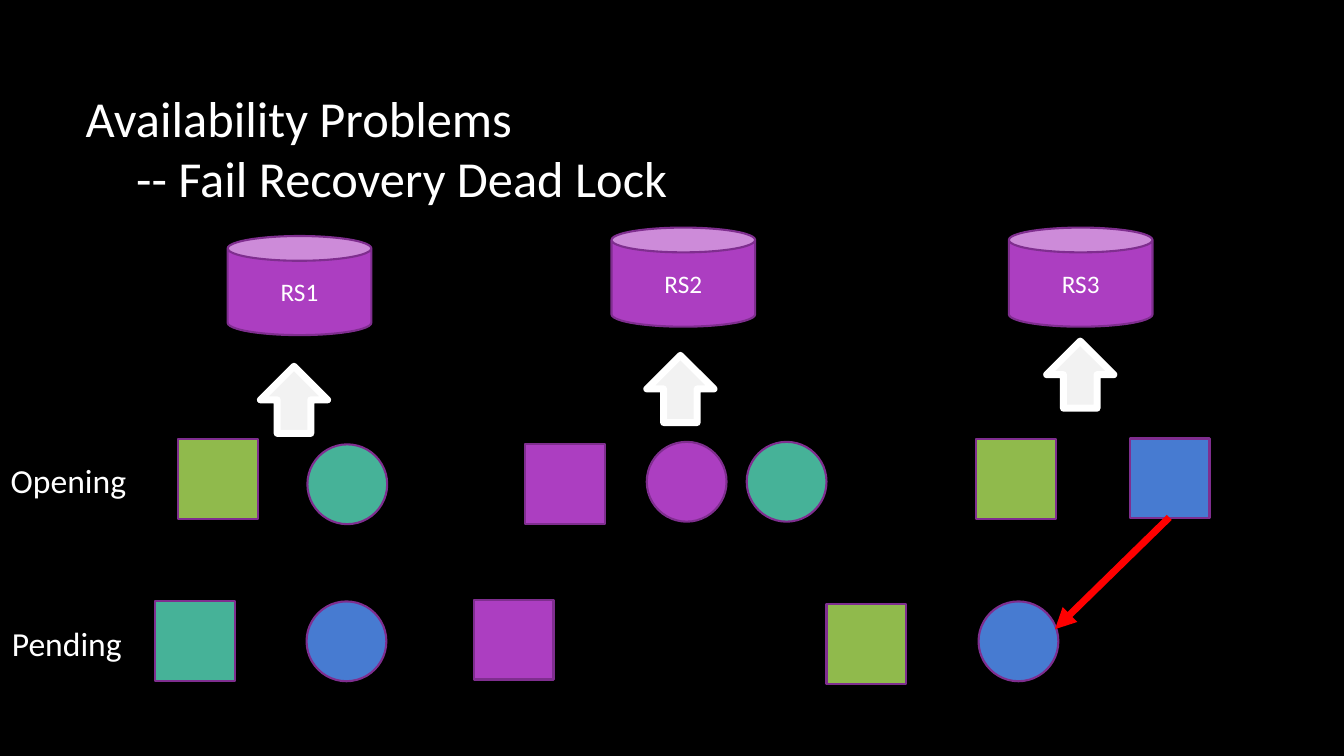
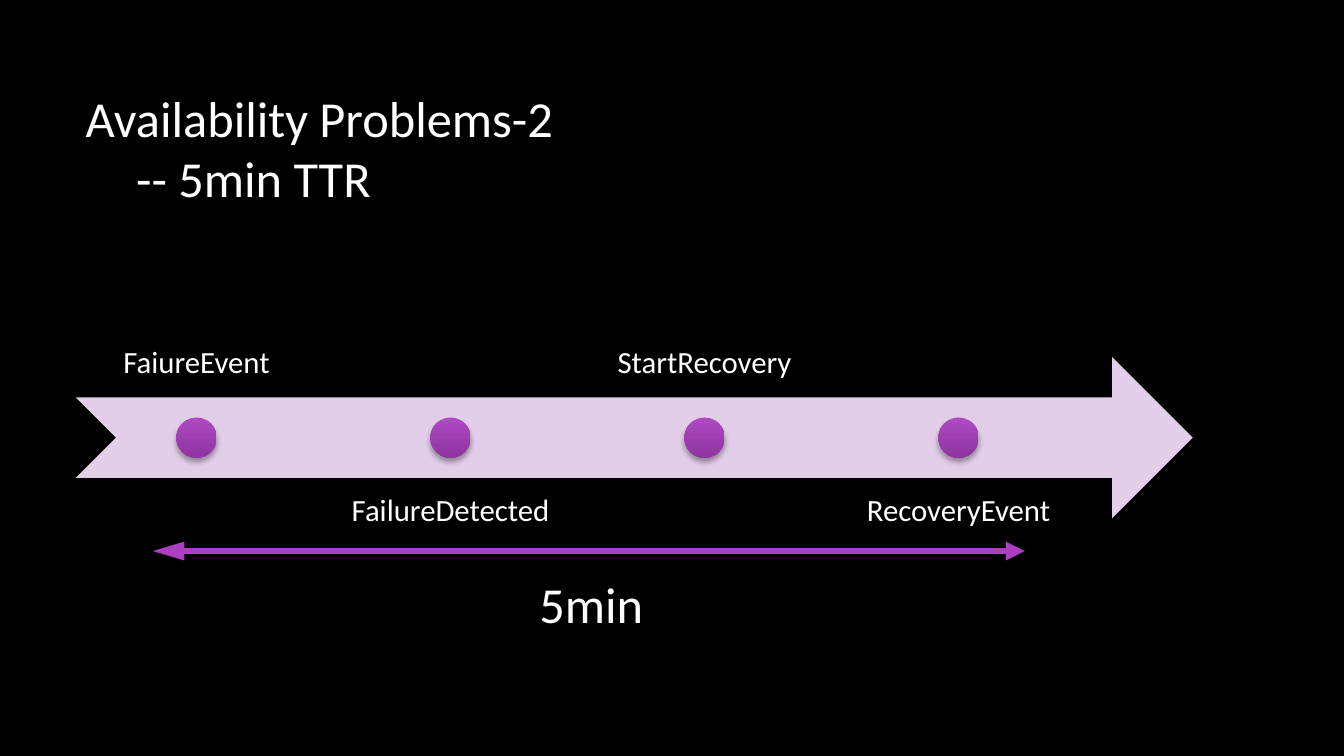
import dataclasses

import lxml.etree
import pptx
import pptx.dml.color
import pptx.enum.shapes
import pptx.enum.text
import pptx.oxml.ns
import pptx.util

SHAPE = pptx.enum.shapes.MSO_SHAPE
ALIGN = pptx.enum.text.PP_ALIGN
ANCHOR = pptx.enum.text.MSO_ANCHOR
AUTO_SIZE = pptx.enum.text.MSO_AUTO_SIZE
COLUMNS, ROWS = 160, 90


@dataclasses.dataclass(frozen=True)
class Theme:
    """Colours, type sizes and line widths shared by the slides."""

    font: str = "Calibri"
    background: str = "000000"
    text: str = "FFFFFF"
    purple: str = "AC3EC1"
    teal: str = "46B298"
    blue: str = "477BD1"
    green: str = "90BA4C"
    outline: str = "7F2E8F"
    arrow: str = "F2F2F2"
    alert: str = "FF0000"
    band: str = "E3CEE9"
    dot: tuple = ("AE4AC2", "8F34A1")
    title_size: int = 36
    label_size: int = 24
    event_size: int = 22
    node_size: int = 18
    thin: float = 1.5
    medium: float = 4.5
    thick: float = 5


THEME = Theme()


def rgb(value):
    """Return a colour object for a hexadecimal value."""
    return pptx.dml.color.RGBColor.from_string(value)


def add_xml(parent, tag, **attributes):
    """Append a DrawingML element and return it."""
    return lxml.etree.SubElement(parent, pptx.oxml.ns.qn(f"a:{tag}"), attributes)


def write_text(frame, text, size, align=ALIGN.CENTER, anchor=ANCHOR.TOP,
               inset=None, spacing=None, auto_size=AUTO_SIZE.NONE, indent=0):
    """Fill a text frame, one paragraph a line, indenting those after the first."""
    frame.text = text
    frame.word_wrap = True
    frame.auto_size = auto_size
    frame.vertical_anchor = anchor
    if inset is not None:
        frame.margin_left = frame.margin_right = pptx.util.Inches(inset)
        frame.margin_top = frame.margin_bottom = pptx.util.Inches(inset)
    for index, paragraph in enumerate(frame.paragraphs):
        paragraph.alignment = align
        paragraph.line_spacing = spacing
        paragraph.font.size = pptx.util.Pt(size)
        paragraph.font.name = THEME.font
        paragraph.font.color.rgb = rgb(THEME.text)
        if index and indent:
            properties = paragraph._p.get_or_add_pPr()
            properties.set("marL", str(pptx.util.Inches(indent)))


class Deck:
    """A presentation with its style and the slide being drawn."""

    def __init__(self):
        """Set the slide size and the shared background."""
        self.presentation = pptx.Presentation()
        self.presentation.slide_width = pptx.util.Inches(13.33)
        self.presentation.slide_height = pptx.util.Inches(7.5)
        fill = self.presentation.slide_master.background.fill
        fill.solid()
        fill.fore_color.rgb = rgb(THEME.background)
        self.slide = None

    def place(self, *lengths):
        """Turn alternating columns and rows into slide lengths."""
        units = (self.presentation.slide_width / COLUMNS,
                 self.presentation.slide_height / ROWS)
        return [round(length * units[index % 2]) for index, length in enumerate(lengths)]

    def add_slide(self, title):
        """Start a slide and format its title."""
        self.slide = self.presentation.slides.add_slide(self.presentation.slide_layouts[5])
        shape = self.slide.shapes.title
        shape.left, shape.top, shape.width, shape.height = self.place(9, 8, 133, 19.1)
        write_text(shape.text_frame, title, THEME.title_size, align=ALIGN.LEFT,
                   anchor=ANCHOR.MIDDLE, indent=0.5)

    def add_shape(self, kind, box, color, line=None, width=THEME.thin, shadow=False):
        """Draw a preset shape, with a gradient when given two colours."""
        shape = self.slide.shapes.add_shape(kind, *self.place(*box))
        if isinstance(color, tuple):
            shape.fill.gradient()
            shape.fill.gradient_angle = 270
            for stop, position, value in zip(shape.fill.gradient_stops, (0, 1), color):
                stop.position = position
                stop.color.rgb = rgb(value)
        else:
            shape.fill.solid()
            shape.fill.fore_color.rgb = rgb(color)
        if line:
            shape.line.color.rgb = rgb(line)
            shape.line.width = pptx.util.Pt(width)
        else:
            shape.line.fill.background()
        shape.shadow.inherit = False
        if shadow:
            effects = shape.element.spPr.find(pptx.oxml.ns.qn("a:effectLst"))
            outer = add_xml(effects, "outerShdw", blurRad=str(pptx.util.Pt(4)),
                            dist=str(pptx.util.Pt(3)), dir="5400000", rotWithShape="0")
            add_xml(add_xml(outer, "srgbClr", val="000000"), "alpha", val="35000")
        return shape

    def add_text(self, box, text, size, **text_format):
        """Add a text box."""
        shape = self.slide.shapes.add_textbox(*self.place(*box))
        write_text(shape.text_frame, text, size, **text_format)

    def add_arrow(self, ends, color, width, **heads):
        """Draw a straight line whose arrowheads are given by their lengths."""
        connector = self.slide.shapes.add_connector(
            pptx.enum.shapes.MSO_CONNECTOR.STRAIGHT, *self.place(*ends))
        connector.line.color.rgb = rgb(color)
        connector.line.width = pptx.util.Pt(width)
        properties = connector.element.spPr
        line = properties.get_or_add_ln()
        for end in ("headEnd", "tailEnd"):
            if end in heads:
                add_xml(line, end, type="triangle", w="med", len=heads[end])
        add_xml(properties, "effectLst")


def draw_dead_lock(deck):
    """Draw the servers with their opening and pending regions."""
    deck.add_slide("Availability Problems\n-- Fail Recovery Dead Lock")
    square, circle = SHAPE.RECTANGLE, SHAPE.OVAL
    regions = [
        (square, 21.2, 52.3, THEME.green),
        (circle, 36.6, 52.9, THEME.teal),
        (square, 62.5, 52.9, THEME.purple),
        (circle, 77, 52.6, THEME.purple),
        (circle, 88.9, 52.6, THEME.teal),
        (square, 116.2, 52.3, THEME.green),
        (square, 134.5, 52.2, THEME.blue),
        (square, 18.5, 71.6, THEME.teal),
        (circle, 36.5, 71.6, THEME.blue),
        (square, 56.4, 71.4, THEME.purple),
        (square, 98.4, 71.9, THEME.green),
        (circle, 116.5, 71.6, THEME.blue),
    ]
    for kind, column, row, color in regions:
        deck.add_shape(kind, (column, row, 9.5, 9.5), color, THEME.outline)
    servers = [
        ("RS1", (27.1, 28.1), (31, 43.6)),
        ("RS2", (72.8, 27.1), (77, 42.3)),
        ("RS3", (120.1, 27.1), (124.6, 40.6)),
    ]
    for name, can, arrow in servers:
        shape = deck.add_shape(SHAPE.CAN, (*can, 17.1, 11.8), THEME.purple, THEME.outline)
        write_text(shape.text_frame, name, THEME.node_size, anchor=ANCHOR.MIDDLE)
        deck.add_shape(SHAPE.UP_ARROW, (*arrow, 8, 8), THEME.arrow, THEME.text, THEME.thick)
    for label, column, row in (("Opening", 0, 54.2), ("Pending", -0.2, 73.6)):
        deck.add_text((column, row, 16.3, 6), label, THEME.label_size,
                      auto_size=AUTO_SIZE.SHAPE_TO_FIT_TEXT)
    deck.add_arrow((139.2, 61.6, 125.6, 74.9), THEME.alert, THEME.thick, tailEnd="med")


def draw_recovery_time(deck):
    """Draw the timeline from failure to recovery."""
    deck.add_slide("Availability Problems-2\n-- 5min TTR")
    left, top, height = 9, 42.5, 19.2
    label_width, dot = 28.8, 4.8
    deck.add_shape(SHAPE.NOTCHED_RIGHT_ARROW, (left, top, 133, height), THEME.band,
                   shadow=True)
    events = ("FaiureEvent", "FailureDetected", "StartRecovery", "RecoveryEvent")
    for index, event in enumerate(events):
        column = left + index * label_width * 1.05
        below = index % 2
        deck.add_text((column, top + (0.75 if below else -0.75) * height, label_width, height),
                      event, THEME.event_size, inset=0.17, spacing=0.9,
                      anchor=ANCHOR.TOP if below else ANCHOR.BOTTOM)
        deck.add_shape(SHAPE.OVAL, (column + (label_width - dot) / 2,
                                    top + (height - dot) / 2, dot, dot),
                       THEME.dot, shadow=True)
    deck.add_arrow((18.2, 65.6, 122, 65.6), THEME.purple, THEME.medium,
                   headEnd="lg", tailEnd="med")
    deck.add_text((56.4, 67.6, 28, 8.5), "5min", THEME.title_size,
                  auto_size=AUTO_SIZE.SHAPE_TO_FIT_TEXT)


def main():
    """Build and save the slides."""
    deck = Deck()
    draw_dead_lock(deck)
    draw_recovery_time(deck)
    deck.presentation.save("out.pptx")


if __name__ == "__main__":
    main()
